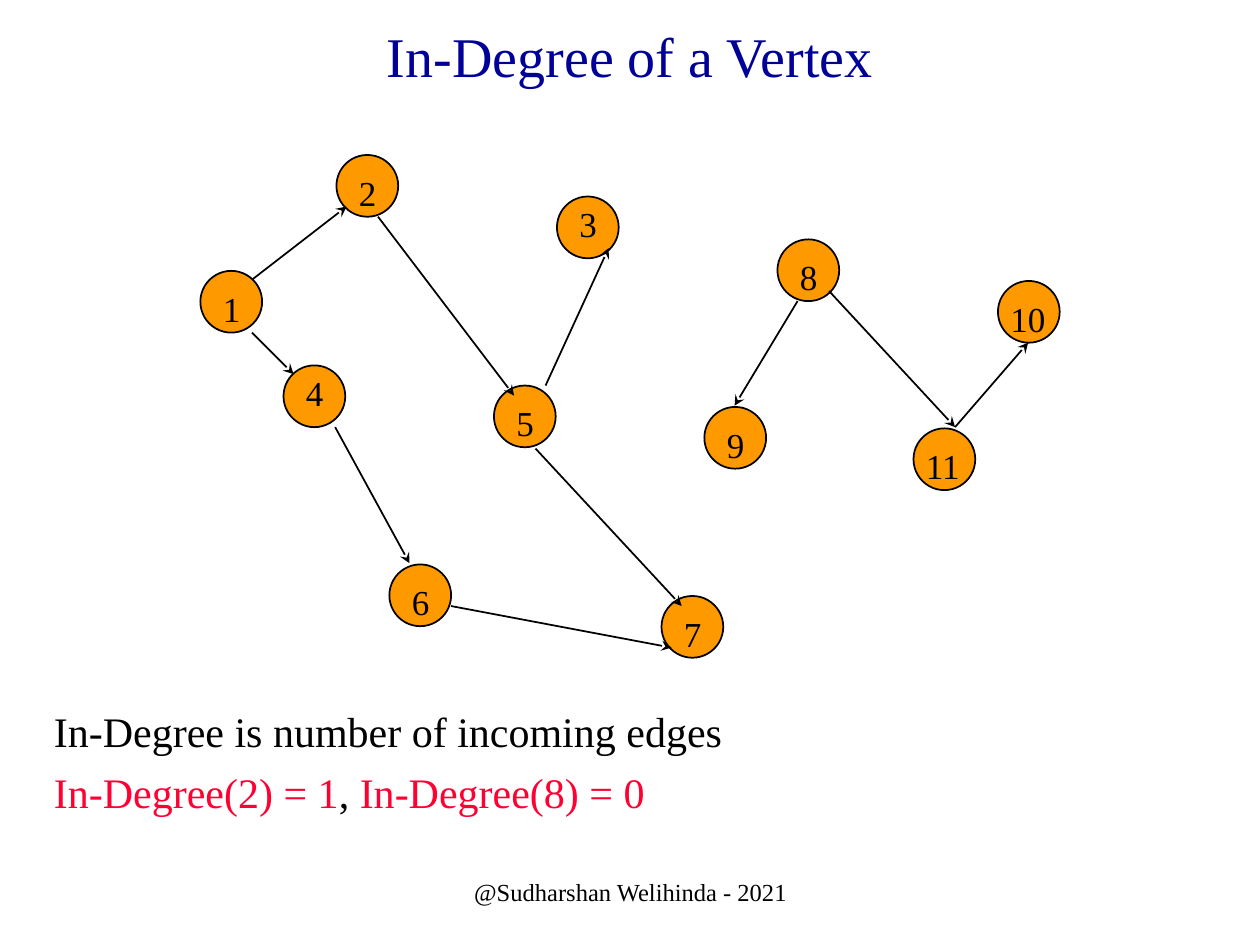
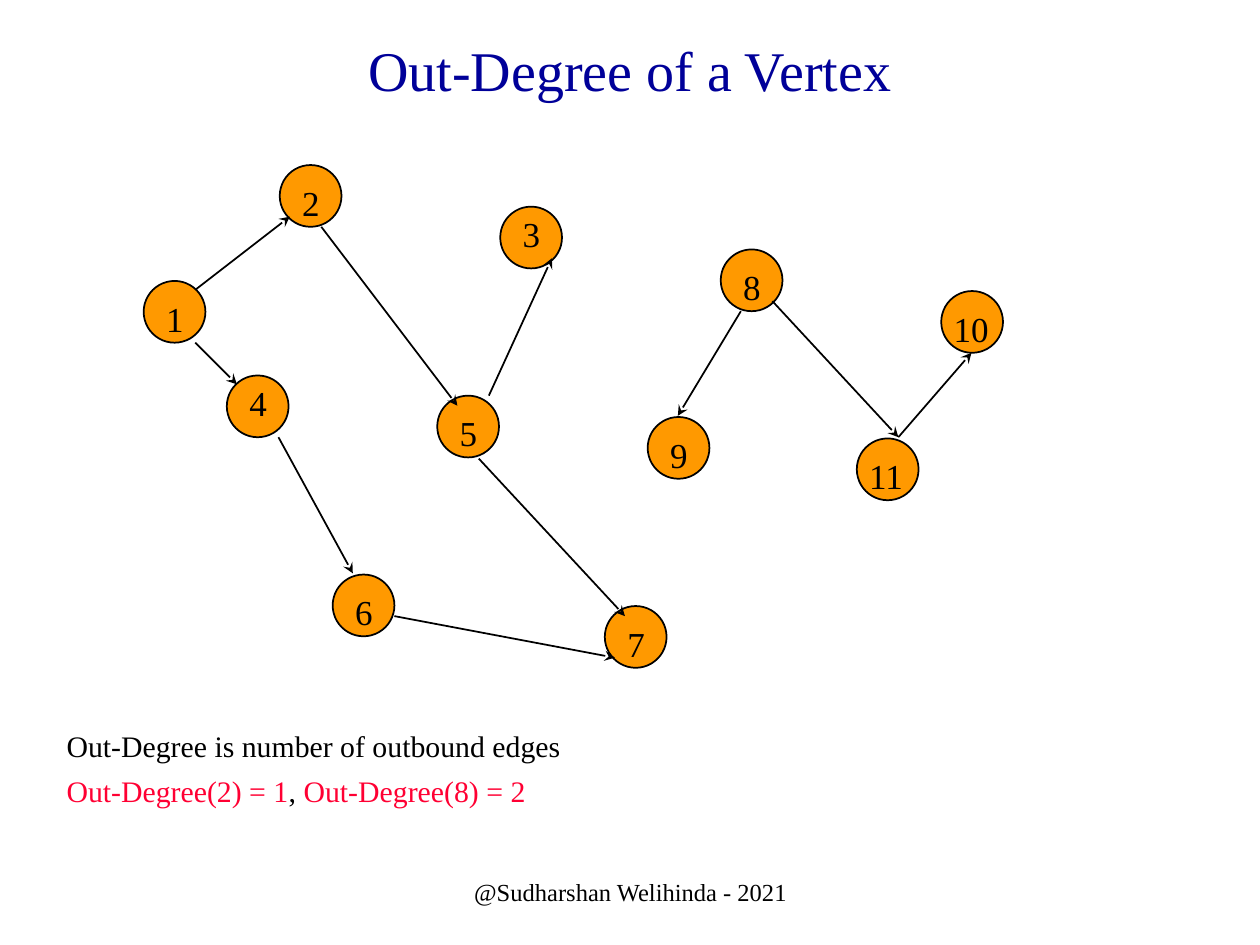
from dataclasses import dataclass

from lxml import etree
from pptx import Presentation
from pptx import util as u
from pptx.dml.color import RGBColor
from pptx.enum import shapes, text
from pptx.oxml import ns

COLOURS = {"title": "000099", "ink": "000000", "example": "FF0033", "vertex": "FF9900"}
FONT = "Times New Roman"
FOOTER = "@Sudharshan Welihinda - 2021"
DIAMETER = 0.49
LABEL_INSET = 0.08
LABEL_HEIGHT = 0.43


@dataclass(frozen=True)
class Vertex:
    number: int
    left: float
    top: float
    label_drop: float = LABEL_INSET


@dataclass(frozen=True)
class Edge:
    """An arrow that points from its start to its end."""
    start: tuple[float, float]
    end: tuple[float, float]


@dataclass(frozen=True)
class DegreeSlide:
    title: str
    title_top: float
    title_height: float
    definition: str
    examples: tuple[str, str]
    body_box: tuple[float, float, float, float]
    body_size: float
    body_gap: float
    graph_shift: tuple[float, float]


VERTICES = [
    Vertex(1, 1.59, 2.15),
    Vertex(2, 2.67, 1.23),
    Vertex(3, 4.42, 1.56, label_drop=0),
    Vertex(8, 6.17, 1.9),
    Vertex(10, 7.92, 2.23),
    Vertex(4, 2.25, 2.9, label_drop=0),
    Vertex(5, 3.92, 3.06),
    Vertex(9, 5.59, 3.23),
    Vertex(11, 7.25, 3.4),
    Vertex(6, 3.09, 4.48),
    Vertex(7, 5.25, 4.73),
]

EDGES = [
    Edge((2, 2.22), (2.75, 1.64)),
    Edge((3, 1.72), (4.08, 3.14)),
    Edge((2, 2.64), (2.33, 2.97)),
    Edge((2.66, 3.39), (3.25, 4.47)),
    Edge((3.58, 4.81), (5.33, 5.14)),
    Edge((4.33, 3.06), (4.83, 1.97)),
    Edge((4.25, 3.56), (5.41, 4.81)),
    Edge((6.33, 2.39), (5.83, 3.22)),
    Edge((6.58, 2.31), (7.58, 3.39)),
    Edge((7.58, 3.39), (8.16, 2.72)),
]

SLIDES = [
    DegreeSlide("In-Degree of a Vertex", 0.1, 0.68,
                "In-Degree is number of incoming edges",
                ("In-Degree(2) = 1", "In-Degree(8) = 0"),
                (0.33, 5.55, 8.5, 1.17), 24, 6, (0, 0)),
    DegreeSlide("Out-Degree of a Vertex", 0.17, 0.75,
                "Out-Degree is number of outbound edges",
                ("Out-Degree(2) = 1", "Out-Degree(8) = 2"),
                (0.43, 5.73, 8.5, 0.78), 17, 5, (-0.45, 0.08)),
]


def rgb(name: str) -> RGBColor:
    return RGBColor.from_string(COLOURS[name])


def add_text(parent, box: tuple[float, float, float, float],
             paragraphs: list[list[tuple[str, str]]], *, size: float,
             align=text.PP_ALIGN.LEFT, anchor=text.MSO_ANCHOR.TOP,
             gap: float = 0, wrap: bool = True) -> None:
    """Add a text box; each paragraph is a list of (words, colour name) runs."""
    frame = parent.add_textbox(*map(u.Inches, box)).text_frame
    frame.word_wrap = wrap
    frame.vertical_anchor = anchor
    for index, runs in enumerate(paragraphs):
        paragraph = frame.add_paragraph() if index else frame.paragraphs[0]
        paragraph.alignment = align
        if index:
            paragraph.space_before = u.Pt(gap)
        for words, colour in runs:
            run = paragraph.add_run()
            run.text = words
            run.font.name = FONT
            run.font.size = u.Pt(size)
            run.font.color.rgb = rgb(colour)


def add_circle(parent, vertex: Vertex, dx: float, dy: float) -> None:
    circle = parent.add_shape(
        shapes.MSO_SHAPE.OVAL, u.Inches(vertex.left + dx), u.Inches(vertex.top + dy),
        u.Inches(DIAMETER), u.Inches(DIAMETER))
    circle.shadow.inherit = False
    circle.fill.solid()
    circle.fill.fore_color.rgb = rgb("vertex")
    circle.line.color.rgb = rgb("ink")
    circle.line.width = u.Pt(1)


def add_arrow(parent, edge: Edge, dx: float, dy: float) -> None:
    ends = [u.Inches(value + shift) for point in (edge.start, edge.end)
            for value, shift in zip(point, (dx, dy))]
    arrow = parent.add_connector(shapes.MSO_CONNECTOR.STRAIGHT, *ends)
    arrow.line.color.rgb = rgb("ink")
    arrow.line.width = u.Pt(1)
    etree.SubElement(arrow.line._get_or_add_ln(), ns.qn("a:tailEnd"), type="stealth")
    etree.SubElement(arrow._element.spPr, ns.qn("a:effectLst"))


def add_number(parent, vertex: Vertex, dx: float, dy: float) -> None:
    two_digits = vertex.number > 9
    left = vertex.left + dx + (0 if two_digits else LABEL_INSET)
    width = 0.5 if two_digits else 0.25
    add_text(parent, (left, vertex.top + dy + vertex.label_drop, width, LABEL_HEIGHT),
             [[(str(vertex.number), "ink")]], size=20)


def add_graph(slide, dx: float, dy: float) -> None:
    graph = slide.shapes.add_group_shape().shapes
    for vertex in VERTICES:
        add_circle(graph, vertex, dx, dy)
    for edge in EDGES:
        add_arrow(graph, edge, dx, dy)
    for vertex in VERTICES:
        add_number(graph, vertex, dx, dy)


def add_degree_slide(deck, content: DegreeSlide) -> None:
    slide = deck.slides.add_slide(deck.slide_layouts[6])
    centred = {"align": text.PP_ALIGN.CENTER, "anchor": text.MSO_ANCHOR.MIDDLE}
    add_text(slide.shapes, (0.75, content.title_top, 8.5, content.title_height),
             [[(content.title, "title")]], size=32, **centred)
    first, second = content.examples
    add_text(slide.shapes, content.body_box,
             [[(content.definition, "ink")],
              [(first, "example"), (", ", "ink"), (second, "example")]],
             size=content.body_size, gap=content.body_gap)
    add_graph(slide, *content.graph_shift)
    add_text(slide.shapes, (3.42, 6.83, 3.17, 0.5), [[(FOOTER, "ink")]],
             size=14, wrap=False, **centred)


def main() -> None:
    deck = Presentation()
    deck.slide_width, deck.slide_height = u.Inches(10), u.Inches(7.5)
    for content in SLIDES:
        add_degree_slide(deck, content)
    deck.save("out.pptx")


if __name__ == "__main__":
    main()
